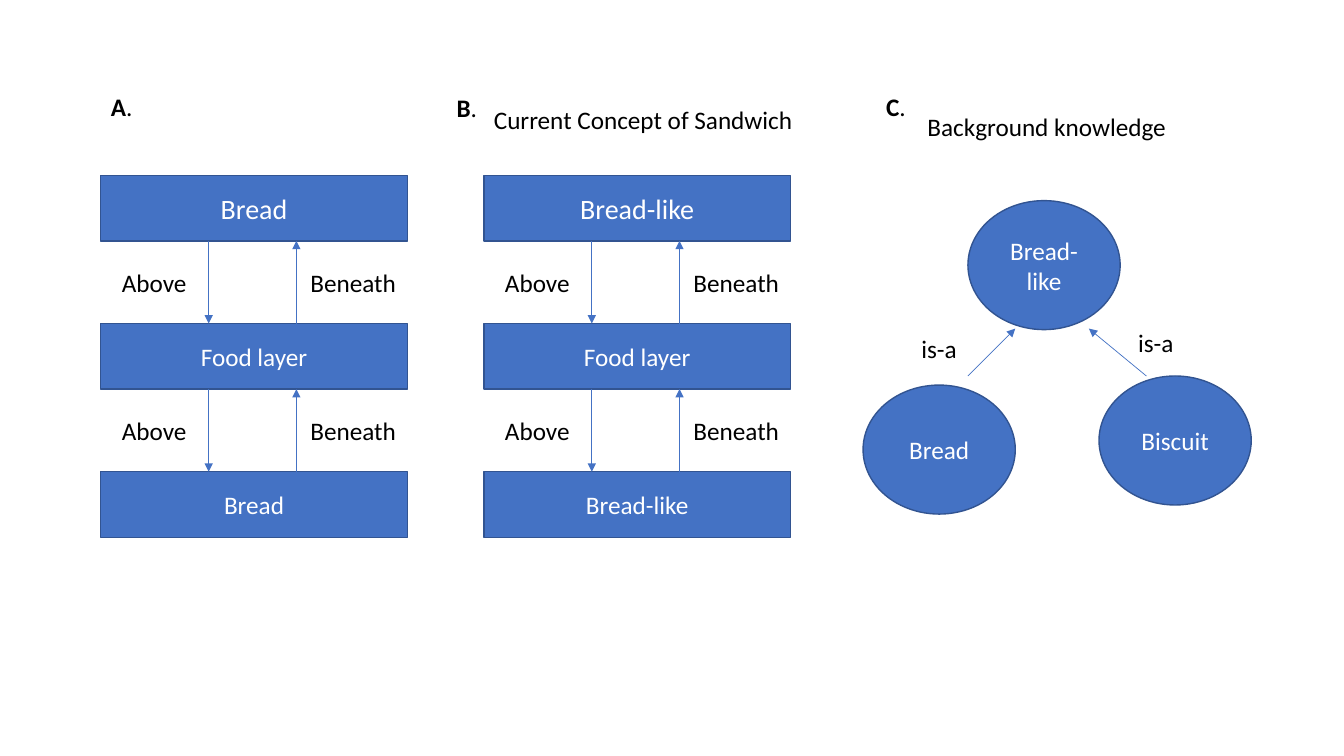
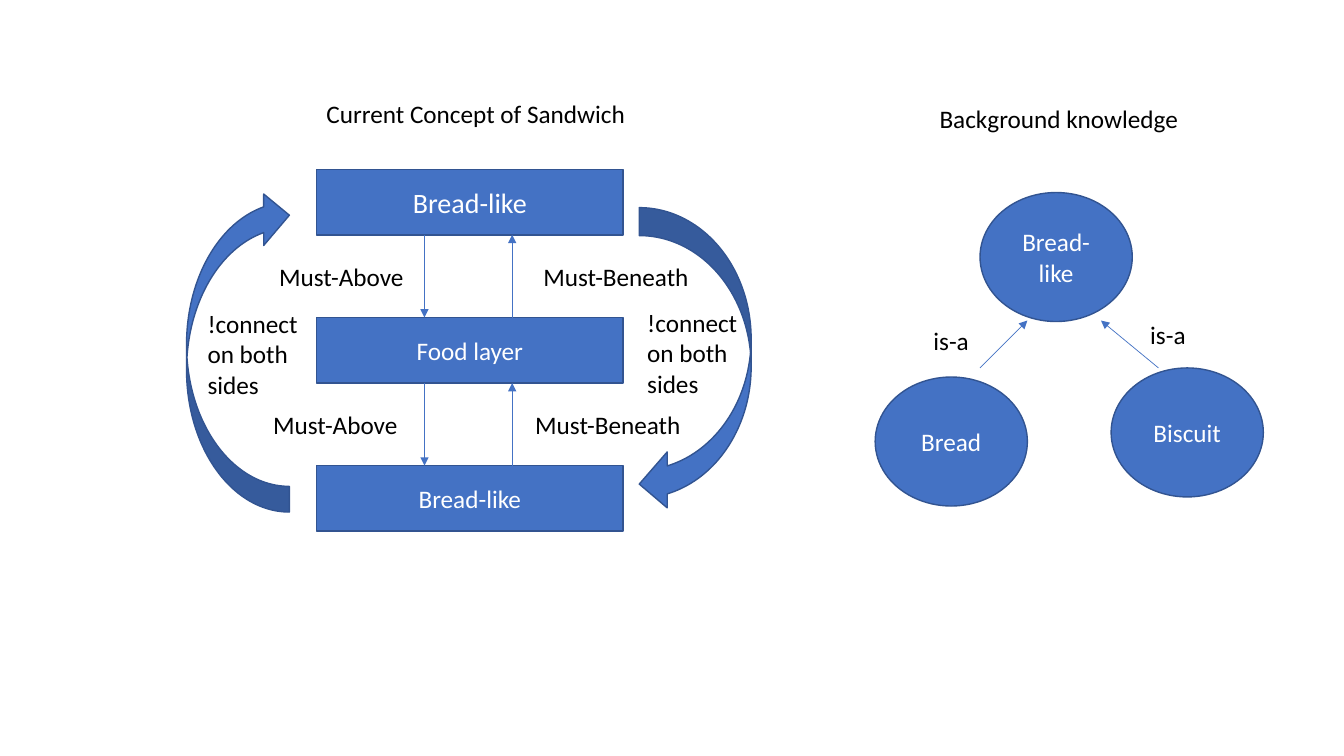
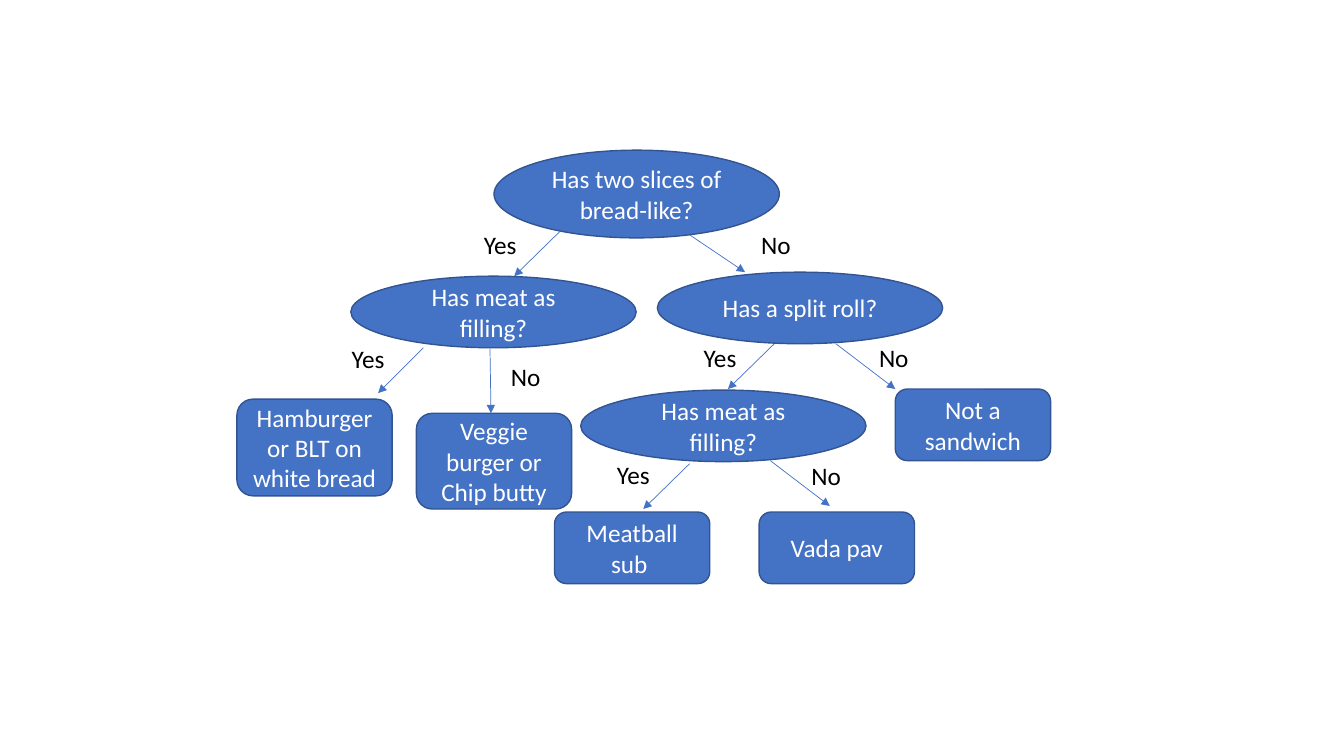
from pptx import Presentation
from pptx.util import Inches, Pt
from pptx.dml.color import RGBColor
from pptx.enum.shapes import MSO_SHAPE as SHAPE, MSO_CONNECTOR as CONN
from pptx.enum.text import PP_ALIGN as ALIGN, MSO_ANCHOR as ANCHOR, MSO_AUTO_SIZE as AUTO
from pptx.oxml.ns import qn
from lxml.etree import SubElement

# Shared style
FONT, SIZE = "Calibri", 18
BLUE, EDGE, WHITE, BLACK = "4472C4", "325491", "FFFFFF", "000000"
LINE_H = 0.4

# Sandwich stacks: bars, a pitch between them, and a pair of arrows in each gap
BAR_W, BAR_H, PITCH = 3.04, 0.65, 1.47
DOWN_X, UP_X, LABEL_Y = 1.07, 1.94, 0.86
PLAIN = ("Above", 0.85), ("Beneath", 1.06)
MUST = ("Must-Above", 1.46), ("Must-Beneath", 1.67)
CONCEPT = "Current Concept of Sandwich"
PLAIN_X = [(0.11, 1.98)] * 2
MUST_X = [(-0.47, 2.15), (-0.53, 2.07)]
BREAD = ["Bread", "Food layer", "Bread"]
BREAD_LIKE = ["Bread-like", "Food layer", "Bread-like"]

PANELS = [("A", 1, 0.86, 0.42), ("B", 4.43, 0.87, 0.41), ("C", 8.69, 0.86, 0.4)]

# Background knowledge, placed from the corner of the top circle
CIRCLE_W, CIRCLE_H = 1.51, 1.28
CIRCLES = [("Bread-like", 0, 0), ("Bread", -1.04, 1.83), ("Biscuit", 1.3, 1.74)]
IS_A_ARROWS = [(0, 1.74, 0.47, 1.27), (1.77, 1.74, 1.2, 1.27)]
KNOWLEDGE_LABELS = [("is-a", -0.56, 1.27, 0.56), ("is-a", 1.59, 1.21, 0.56),
                    ("Background knowledge", -0.5, -0.93, 2.59)]

# Curved arrows with their notes: left, top, width, height, rotation
CURVES = [(6.34, 2.06, 1.11, 3.02, 0), (1.85, 1.88, 1.02, 3.2, 180)]
NOTE = "!connect\non both\nsides"
NOTES = [(6.32, 3), (1.96, 3.01)]

# Decision tree
QUESTION_W, ANSWER_W, NODE_H = 2.83, 1.54, 0.71
QUESTIONS = [("Has two slices of bread-like?", 4.9, 1.49, 0.87),
             ("Has a split roll?", 6.52, 2.7, NODE_H),
             ("Has meat as filling?", 3.48, 2.74, NODE_H),
             ("Has meat as filling?", 5.76, 3.87, NODE_H)]
ANSWERS = [("Not a sandwich", 8.88, 3.86, NODE_H),
           ("Meatball sub ", 5.5, 5.08, NODE_H),
           ("Vada pav", 7.53, 5.08, NODE_H),
           ("Veggie burger or Chip butty", 4.13, 4.1, 0.95),
           ("Hamburger or BLT on white bread", 2.35, 3.96, 0.96)]
# Each branch: arrow start and end, then its label's place
YES = [(5.56, 2.29, 5.1, 2.74, 4.7, 2.23), (7.68, 3.41, 7.22, 3.86, 6.88, 3.35),
       (4.2, 3.45, 3.75, 3.9, 3.39, 3.36), (6.84, 4.6, 6.38, 5.05, 6.02, 4.51)]
NO = [(6.84, 2.33, 7.39, 2.7, 7.45, 2.23), (8.29, 3.41, 8.88, 3.86, 8.62, 3.35),
      (4.86, 3.46, 4.87, 4.1, 4.97, 3.54), (7.64, 4.57, 8.23, 5.02, 7.95, 4.52)]


# Helpers
def rgb(color):
    return RGBColor.from_string(color)


def format_runs(tf, color, size=SIZE):
    for p in tf.paragraphs:
        for r in p.runs:
            r.font.name, r.font.size = FONT, Pt(size)
            r.font.color.rgb = rgb(color)


def node(s, kind, x, y, w, h, text="", size=SIZE):
    sp = s.shapes.add_shape(kind, *map(Inches, (x, y, w, h)))
    sp.shadow.inherit = False
    sp.fill.solid()
    sp.fill.fore_color.rgb = rgb(BLUE)
    sp.line.color.rgb, sp.line.width = rgb(EDGE), Pt(1)
    if text:
        tf = sp.text_frame
        tf.text, tf.word_wrap, tf.vertical_anchor = text, True, ANCHOR.MIDDLE
        tf.paragraphs[0].alignment = ALIGN.CENTER
        format_runs(tf, WHITE, size)
    return sp


def label(s, text, x, y, w, h=LINE_H):
    tf = s.shapes.add_textbox(*map(Inches, (x, y, w, h))).text_frame
    tf.text, tf.word_wrap, tf.auto_size = text, False, AUTO.SHAPE_TO_FIT_TEXT
    format_runs(tf, BLACK)
    return tf


def arrow(s, x1, y1, x2, y2):
    line = s.shapes.add_connector(CONN.STRAIGHT, *map(Inches, (x1, y1, x2, y2)))
    line.line.color.rgb, line.line.width = rgb(BLUE), Pt(0.5)
    SubElement(line.line._get_or_add_ln(), qn("a:tailEnd"), type="triangle")
    SubElement(line._element.spPr, qn("a:effectLst"))


def stack(s, x, y, names, labels, label_xs, heading=""):
    for i, name in enumerate(names):
        node(s, SHAPE.RECTANGLE, x, y + i * PITCH, BAR_W, BAR_H, name, SIZE if i else 20)
    for i, offsets in enumerate(label_xs):
        top, bottom = y + i * PITCH + BAR_H, y + (i + 1) * PITCH
        arrow(s, x + DOWN_X, top, x + DOWN_X, bottom)
        arrow(s, x + UP_X, bottom, x + UP_X, top)
        for (text, w), dx in zip(labels, offsets):
            label(s, text, x + dx, y + i * PITCH + LABEL_Y, w)
    if heading:
        label(s, heading, x, y - 0.75, 3.2)


def knowledge(s, x, y):
    for name, dx, dy in CIRCLES:
        node(s, SHAPE.OVAL, x + dx, y + dy, CIRCLE_W, CIRCLE_H, name)
    for x1, y1, x2, y2 in IS_A_ARROWS:
        arrow(s, x + x1, y + y1, x + x2, y + y2)
    for text, dx, dy, w in KNOWLEDGE_LABELS:
        label(s, text, x + dx, y + dy, w)


def concept_slide(s):
    stack(s, 4.8, 1.74, BREAD_LIKE, PLAIN, PLAIN_X, CONCEPT)
    knowledge(s, 9.6, 1.99)
    stack(s, 1, 1.74, BREAD, PLAIN, PLAIN_X)
    for letter, x, y, w in PANELS:
        tf = label(s, letter, x, y, w)
        p = tf.paragraphs[0]
        p.add_run().text = "."
        format_runs(tf, BLACK)
        p.runs[0].font.bold = True


def constraint_slide(s):
    stack(s, 3.14, 1.68, BREAD_LIKE, MUST, MUST_X, CONCEPT)
    knowledge(s, 9.72, 1.91)
    for *box, turn in CURVES:
        node(s, SHAPE.CURVED_LEFT_ARROW, *box).rotation = turn
    for x, y in NOTES:
        label(s, NOTE, x, y, 1.11, 1.01)


def tree_slide(s):
    for kind, w, items in ((SHAPE.OVAL, QUESTION_W, QUESTIONS),
                           (SHAPE.ROUNDED_RECTANGLE, ANSWER_W, ANSWERS)):
        for text, x, y, h in items:
            node(s, kind, x, y, w, h, text)
    for text, w, branches in (("Yes", 0.53, YES), ("No", 0.5, NO)):
        for *ends, x, y in branches:
            arrow(s, *ends)
            label(s, text, x, y, w)


def main():
    prs = Presentation()
    prs.slide_width, prs.slide_height = Inches(13.33), Inches(7.5)
    for build in (concept_slide, constraint_slide, tree_slide):
        build(prs.slides.add_slide(prs.slide_layouts[6]))
    prs.save("out.pptx")


if __name__ == "__main__":
    main()
